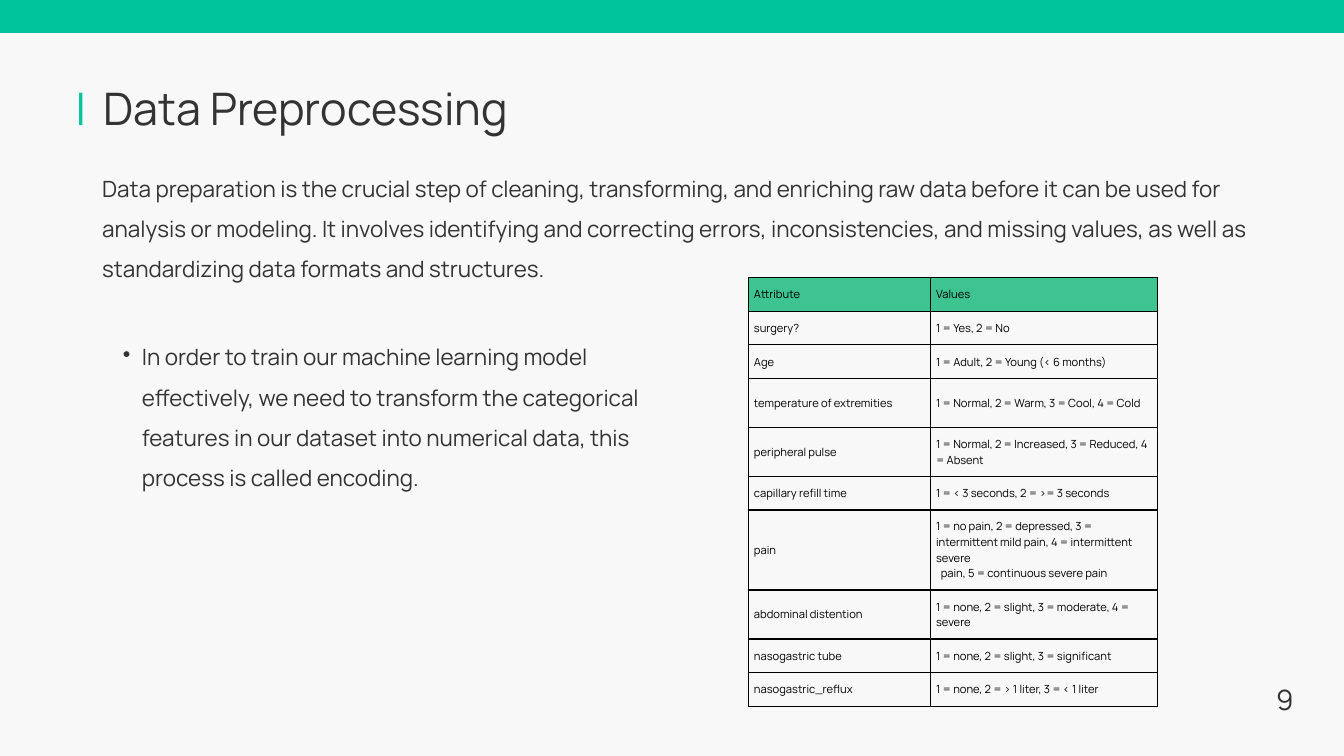
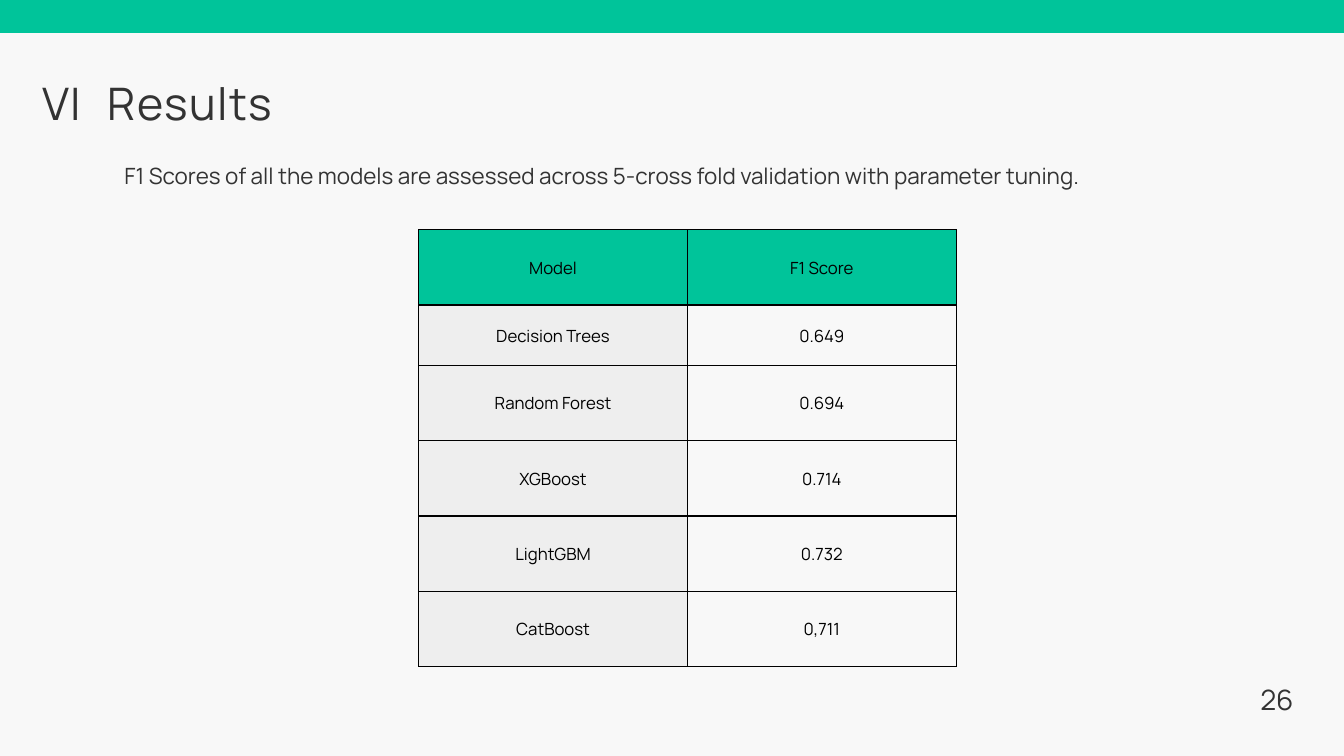
from dataclasses import dataclass
from typing import NamedTuple, Optional, Sequence, Union

from lxml.etree import SubElement
from pptx import Presentation
from pptx.dml.color import RGBColor
from pptx.enum.shapes import MSO_SHAPE
from pptx.enum.text import MSO_ANCHOR, MSO_AUTO_SIZE, PP_ALIGN
from pptx.oxml.ns import qn
from pptx.util import Inches, Pt

SLIDE_WIDTH, SLIDE_HEIGHT = Inches(20), Inches(11.25)
GRID_COLUMNS, GRID_ROWS = 20, 11.25


@dataclass(frozen=True)
class Theme:
    font: str = "Manrope"
    background: str = "F8F8F8"
    green: str = "00C49A"
    soft_green: str = "3DC491"
    gray: str = "EEEEEE"
    ink: str = "333333"
    black: str = "000000"
    title_size: float = 48
    number_size: float = 30
    body_size: float = 24
    body_line: float = 43.2
    border_width: float = 1.5


THEME = Theme()


class Area(NamedTuple):
    """A place on the grid, in columns and rows."""
    left: float
    top: float
    width: float
    height: float


class Line(NamedTuple):
    """A paragraph whose text starts some columns in."""
    text: str
    indent: float


Text = Union[str, Sequence[Union[str, Line]]]


@dataclass(frozen=True)
class TableStyle:
    header_fill: str
    label_fill: Optional[str]
    size: float
    margin: float
    align: PP_ALIGN = PP_ALIGN.LEFT


@dataclass(frozen=True)
class TitleStyle:
    area: Area
    mark: str
    mark_area: Area
    mark_color: str
    mark_align: PP_ALIGN
    line: float
    tracking: float = 0


BAR_TITLE = TitleStyle(Area(1.54, 0.93, 6.78, 0.99), "|", Area(1.12, 0.93, 0.42, 0.99),
                       THEME.green, PP_ALIGN.LEFT, 76.8)
SECTION_TITLE = TitleStyle(Area(1.6, 1.12, 11.58, 0.79), "VI", Area(0.48, 1.12, 0.88, 0.79),
                           THEME.ink, PP_ALIGN.CENTER, 57.6, 1.5)
ATTRIBUTE_TABLE = TableStyle(THEME.soft_green, None, 12, 0.08)
SCORE_TABLE = TableStyle(THEME.green, THEME.gray, 18, 0.21, PP_ALIGN.CENTER)

ATTRIBUTES = [
    ("Attribute", "Values"),
    ("surgery?", "1 = Yes, 2 = No"),
    ("Age", "1 = Adult, 2 = Young (< 6 months)"),
    ("temperature of extremities", "1 = Normal, 2 = Warm, 3 = Cool, 4 = Cold"),
    ("peripheral pulse", "1 = Normal, 2 = Increased, 3 = Reduced, 4 = Absent"),
    ("capillary refill time", "1 = < 3 seconds, 2 = >= 3 seconds"),
    ("pain", ("1 = no pain, 2 = depressed, 3 = intermittent mild pain, 4 = intermittent severe",
              Line("pain, 5 = continuous severe pain", 0.07))),
    ("abdominal distention", "1 = none, 2 = slight, 3 = moderate, 4 = severe"),
    ("nasogastric tube", "1 = none, 2 = slight, 3 = significant"),
    ("nasogastric_reflux", "1 = none, 2 = > 1 liter, 3 = < 1 liter"),
]
SCORES = [
    ("Model", "F1 Score"),
    ("Decision Trees", "0.649"),
    ("Random Forest", "0.694"),
    ("XGBoost", "0.714"),
    ("LightGBM", "0.732"),
    ("CatBoost", "0,711"),
]


# Grid
def across(columns: float) -> int:
    return round(SLIDE_WIDTH * columns / GRID_COLUMNS)


def down(rows: float) -> int:
    return round(SLIDE_HEIGHT * rows / GRID_ROWS)


def place(area: Area) -> tuple:
    return across(area.left), down(area.top), across(area.width), down(area.height)


# Text
def write(frame, text: Text, *, size: float = THEME.body_size, line: float = THEME.body_line,
          color: str = THEME.ink, align: PP_ALIGN = PP_ALIGN.LEFT, tracking: float = 0,
          bullet: str = "", indent: float = 0, hanging: float = 0) -> None:
    for index, item in enumerate([text] if isinstance(text, str) else text):
        content, left = item if isinstance(item, Line) else (item, indent)
        paragraph = frame.paragraphs[0] if index == 0 else frame.add_paragraph()
        properties = paragraph._p.get_or_add_pPr()
        if left:
            properties.set("marL", str(across(left)))
            properties.set("indent", str(-across(hanging)))
        if bullet:
            SubElement(properties, qn("a:buChar"), char=bullet)
        paragraph.alignment = align
        paragraph.line_spacing = Pt(line)
        run = paragraph.add_run()
        run.text = content
        run.font.name = THEME.font
        run.font.size = Pt(size)
        run.font.color.rgb = RGBColor.from_string(color)
        if tracking:
            run._r.get_or_add_rPr().set("spc", str(round(tracking * 100)))


def prepare_frame(frame) -> None:
    frame.margin_left = frame.margin_right = frame.margin_top = frame.margin_bottom = 0
    frame.vertical_anchor = MSO_ANCHOR.TOP
    frame.word_wrap = True
    frame.auto_size = MSO_AUTO_SIZE.SHAPE_TO_FIT_TEXT


def add_text(slide, area: Area, text: Text, **text_format) -> None:
    frame = slide.shapes.add_textbox(*place(area)).text_frame
    prepare_frame(frame)
    write(frame, text, **text_format)


# Tables
def add_borders(cell) -> None:
    properties = cell._tc.get_or_add_tcPr()
    for side in ("a:lnL", "a:lnR", "a:lnT", "a:lnB"):
        border = SubElement(properties, qn(side), w=str(Pt(THEME.border_width)))
        fill = SubElement(border, qn("a:solidFill"))
        SubElement(fill, qn("a:srgbClr"), val=THEME.black)


def fill_cell(cell, color: Optional[str]) -> None:
    if color is None:
        cell.fill.background()
    else:
        cell.fill.solid()
        cell.fill.fore_color.rgb = RGBColor.from_string(color)


def add_grid_table(slide, left: float, top: float, widths: Sequence[float],
                   heights: Sequence[float], records: Sequence[tuple], style: TableStyle) -> None:
    area = Area(left, top, sum(widths), sum(heights))
    table = slide.shapes.add_table(len(heights), len(widths), *place(area)).table
    table.first_row = table.horz_banding = False
    for column, width in zip(table.columns, widths):
        column.width = across(width)
    for row, height in zip(table.rows, heights):
        row.height = down(height)
    for row_index, record in enumerate(records):
        for column_index, text in enumerate(record):
            cell = table.cell(row_index, column_index)
            cell.vertical_anchor = MSO_ANCHOR.MIDDLE
            cell.margin_left = cell.margin_right = across(style.margin)
            cell.margin_top = cell.margin_bottom = down(style.margin)
            add_borders(cell)
            body_fill = style.label_fill if column_index == 0 else None
            fill_cell(cell, style.header_fill if row_index == 0 else body_fill)
            write(cell.text_frame, text, size=style.size, line=style.size * 1.4,
                  color=THEME.black, align=style.align)


# Shared slide frame: band, title with its mark, page number
def add_base_slide(presentation, title: str, style: TitleStyle, number: int):
    slide = presentation.slides.add_slide(presentation.slide_layouts[5])
    slide.background.fill.solid()
    slide.background.fill.fore_color.rgb = RGBColor.from_string(THEME.background)

    band = slide.shapes.add_shape(MSO_SHAPE.RECTANGLE, *place(Area(0, 0, GRID_COLUMNS, 0.49)))
    band.shadow.inherit = False
    band.fill.solid()
    band.fill.fore_color.rgb = RGBColor.from_string(THEME.green)
    band.line.fill.background()

    heading = slide.shapes.title
    heading.left, heading.top, heading.width, heading.height = place(style.area)
    prepare_frame(heading.text_frame)
    title_format = dict(size=THEME.title_size, line=style.line, tracking=style.tracking)
    write(heading.text_frame, title, **title_format)
    add_text(slide, style.mark_area, style.mark, color=style.mark_color,
             align=style.mark_align, **title_format)
    add_text(slide, Area(18.5, 9.99, 0.75, 0.64), str(number), size=THEME.number_size,
             line=48, align=PP_ALIGN.RIGHT)
    return slide


# Slides
def add_preprocessing_slide(presentation) -> None:
    slide = add_base_slide(presentation, "Data Preprocessing", BAR_TITLE, 9)
    add_text(slide, Area(1.52, 2.4, 17.72, 1.74),
             "Data preparation is the crucial step of cleaning, transforming, and enriching raw "
             "data before it can be used for analysis or modeling. It involves identifying and "
             "correcting errors, inconsistencies, and missing values, as well as standardizing "
             "data formats and structures.")
    add_text(slide, Area(1.54, 4.91, 8.48, 2.92),
             "In order to train our machine learning model effectively, we need to transform the "
             "categorical features in our dataset into numerical data, this process is called "
             "encoding.", bullet="•", indent=0.57, hanging=0.28)
    one_line, two_lines, four_lines = 0.5, 0.73, 1.19
    heights = [one_line] * 3 + [two_lines] * 2 + [one_line, four_lines, two_lines] + [one_line] * 2
    add_grid_table(slide, 11.14, 4.13, (2.71, 3.38), heights, ATTRIBUTES, ATTRIBUTE_TABLE)


def add_results_slide(presentation) -> None:
    slide = add_base_slide(presentation, "Results", SECTION_TITLE, 26)
    add_text(slide, Area(1.85, 2.21, 16.57, 0.55),
             "F1 Scores of all the models are assessed across 5-cross fold validation with "
             "parameter tuning.")
    heights = [1.12, 0.9] + [1.12] * 4
    add_grid_table(slide, 6.23, 3.42, (4, 4), heights, SCORES, SCORE_TABLE)


def main() -> None:
    presentation = Presentation()
    presentation.slide_width, presentation.slide_height = SLIDE_WIDTH, SLIDE_HEIGHT
    add_preprocessing_slide(presentation)
    add_results_slide(presentation)
    presentation.save("out.pptx")


if __name__ == "__main__":
    main()
